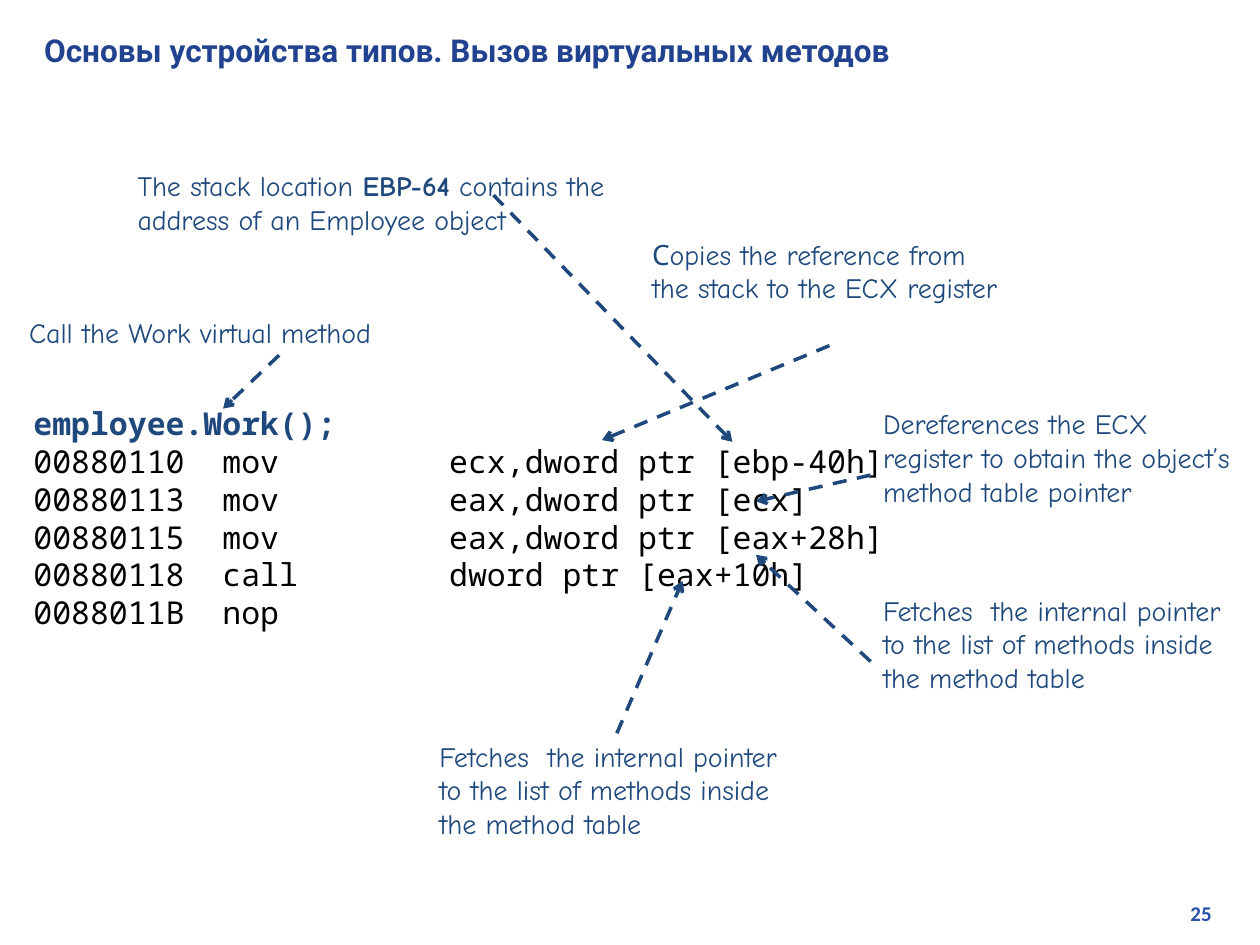
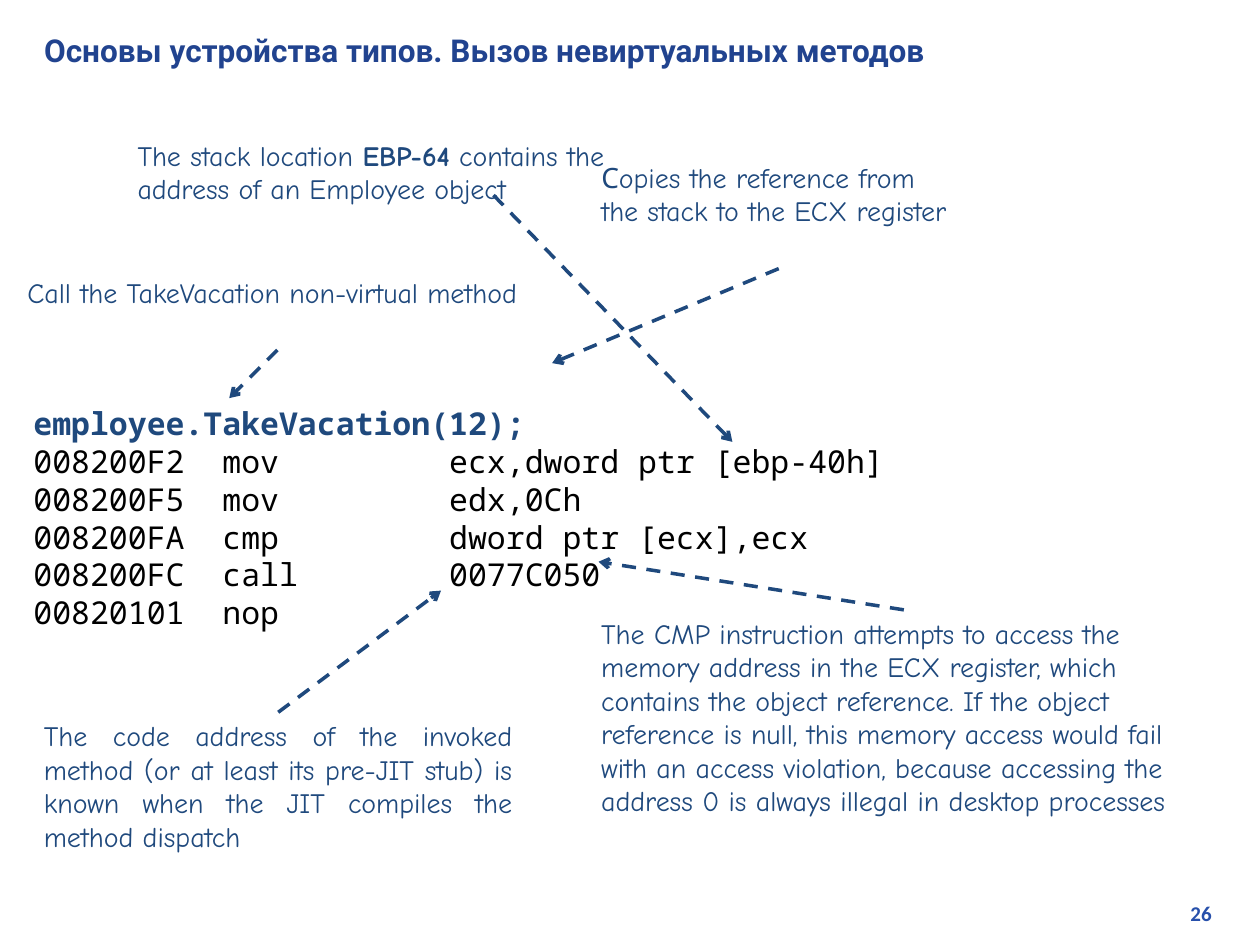
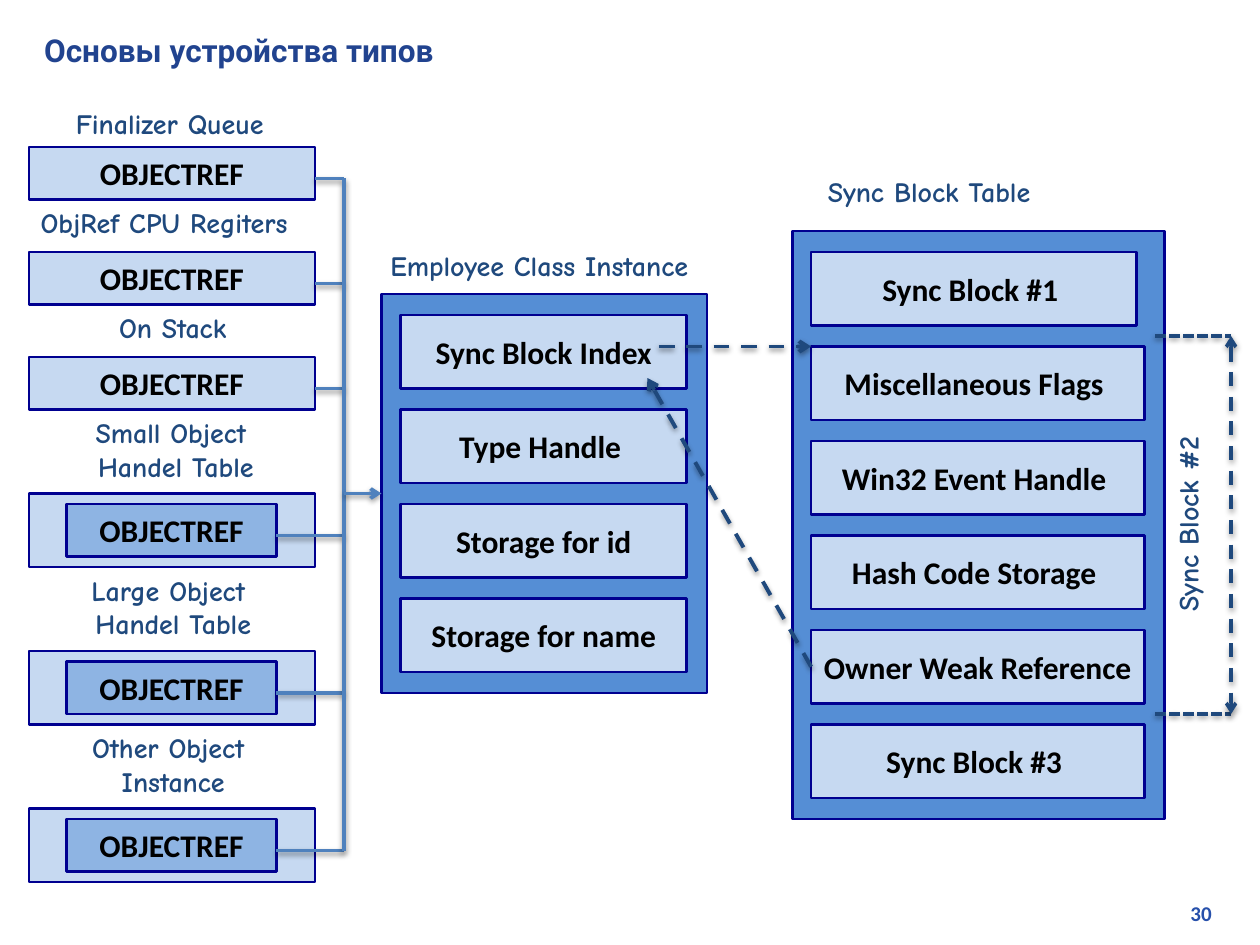
from dataclasses import dataclass
from typing import Optional

from lxml.etree import SubElement
from pptx import Presentation
from pptx.dml.color import RGBColor
from pptx.enum.dml import MSO_LINE
from pptx.enum.shapes import MSO_CONNECTOR, MSO_SHAPE
from pptx.enum.text import MSO_ANCHOR, MSO_AUTO_SIZE, PP_ALIGN
from pptx.oxml.ns import qn
from pptx.util import Pt

COLORS = {
    "title": "21438F", "number": "2750AB", "note": "1F497D", "code": "000000",
    "frame": "558ED5", "cell": "C6D9F1", "inner": "8EB4E3",
    "border": "000090", "bus": "4F81BD", "shadow": "000000",
}
NOTE_FONT, CODE_FONT, BOX_FONT, TITLE_FONT = "Comic Neue", "Noto Sans Mono", "Calibri", "Roboto"
CODE_TABS = (108, 237.6)
TOP, LEFT, BOTTOM = 0, 1, 2
CELL_HEIGHT, CELL_STEP = 42, 54
REFERENCE_HEIGHT = 30
BUS_X = 196.5


@dataclass(frozen=True)
class Box:
    left: float
    top: float
    width: float
    height: float

    def lengths(self) -> tuple:
        return Pt(self.left), Pt(self.top), Pt(self.width), Pt(self.height)


@dataclass(frozen=True)
class Style:
    font: str
    size: float
    color: str
    bold: bool = False


@dataclass(frozen=True)
class Note:
    """A remark whose arrow leaves from a side of its box, or from a free start point."""
    box: Box
    text: str
    tip: tuple
    side: int = BOTTOM
    start: Optional[tuple] = None
    bold_word: str = ""
    align: PP_ALIGN = PP_ALIGN.LEFT


@dataclass(frozen=True)
class Stroke:
    color: str = "note"
    width: float = 2
    dash: Optional[MSO_LINE] = MSO_LINE.DASH
    head: bool = False
    tail: bool = True
    shadow: bool = False


@dataclass(frozen=True)
class Reference:
    label: tuple
    label_box: Box
    top: float
    nested: bool


TITLE_STYLE = Style(TITLE_FONT, 18, "title", True)
NUMBER_STYLE = Style(BOX_FONT, 12, "number", True)
NOTE_STYLE = Style(NOTE_FONT, 16, "note")
LABEL_STYLE = Style(NOTE_FONT, 16, "note", True)
CALL_STYLE = Style(CODE_FONT, 18, "note", True)
CODE_STYLE = Style(CODE_FONT, 18, "code")
BOX_STYLE = Style(BOX_FONT, 18, "code", True)

NOTE_ARROW = Stroke()
BUS_LINE = Stroke("bus", dash=None, tail=False, shadow=True)
BUS_ARROW = Stroke("bus", dash=None, shadow=True)
LINK_ARROW = Stroke(width=2.25, shadow=True)
RANGE_END = Stroke(dash=MSO_LINE.SQUARE_DOT, tail=False, shadow=True)
RANGE_ARROW = Stroke(head=True, shadow=True)

COPIES_TEXT = "Сopies the reference from the stack to the ECX register"
FETCHES_TEXT = "Fetches  the internal pointer to the list of methods inside the method table"


def stack_note(top: float) -> Note:
    return Note(Box(71.5, top, 300, 65.5), "The stack location EBP-64 contains the address of an Employee object",
                (418.5, 252.5), start=(282, 111.5), bold_word="EBP-64")


VIRTUAL_CODE = (
    "employee.Work();",
    ("00880110", "mov", "ecx,dword ptr [ebp-40h]"),
    ("00880113", "mov", "eax,dword ptr [ecx]"),
    ("00880115", "mov", "eax,dword ptr [eax+28h]"),
    ("00880118", "call", "dword ptr [eax+10h]"),
    ("0088011B", "nop"),
)
VIRTUAL_NOTES = (
    Note(Box(365.5, 132, 217, 65.5), COPIES_TEXT, (344, 251.5)),
    Note(Box(497.5, 229, 217, 85), "Dereferences the ECX register to obtain the object’s method table pointer",
         (432, 286.5), LEFT),
    Note(Box(497.5, 335.5, 217, 85), FETCHES_TEXT, (432, 317), LEFT),
    Note(Box(244, 419, 217, 85), FETCHES_TEXT, (390, 332), TOP),
    stack_note(93),
    Note(Box(9.5, 176.5, 300, 26.5), "Call the Work virtual method", (127.5, 233.5)),
)
DIRECT_CODE = (
    "employee.TakeVacation(12);",
    ("008200F2", "mov", "ecx,dword ptr [ebp-40h]"),
    ("008200F5", "mov", "edx,0Ch"),
    ("008200FA", "cmp", "dword ptr [ecx],ecx"),
    ("008200FC", "call", "0077C050"),
    ("00820101", "nop"),
)
DIRECT_NOTES = (
    Note(Box(336.5, 88, 217, 65.5), COPIES_TEXT, (315.5, 207.5)),
    Note(Box(18, 407, 282, 104.5),
         "The code address of the invoked method (or at least its pre-JIT stub) is known "
         "when the JIT compiles the method dispatch", (252, 337.5), TOP, align=PP_ALIGN.JUSTIFY),
    stack_note(75.5),
    Note(Box(8.5, 154, 300, 46), "Call the TakeVacation non-virtual method", (131, 227.5)),
    Note(Box(336.5, 348.5, 360, 162.5),
         "The CMP instruction attempts to access the memory address in the ECX register, which "
         "contains the object reference. If the object reference is null, this memory access would "
         "fail with an access violation, because accessing the address 0 is always illegal in "
         "desktop processes", (342, 321), TOP),
)
REFERENCES = (
    Reference(("Finalizer Queue",), Box(12, 57.5, 170, 26.5), 84, False),
    Reference(("ObjRef CPU Regiters",), Box(-5.5, 114, 198.5, 26.5), 144, False),
    Reference(("On Stack",), Box(48, 174, 101.5, 26.5), 204, False),
    Reference(("Small Object ", "Handel Table"), Box(27.5, 234, 146, 46), 282, True),
    Reference(("Large Object ", "Handel Table"), Box(26, 324, 146, 46), 372, True),
    Reference(("Other Object ", "Instance"), Box(32.5, 414, 133, 46), 462, True),
)
INSTANCE_FIELDS = ("Sync Block Index", "Type Handle ", "Storage for id", "Storage for name")
SYNC_FIELDS = ("Sync Block #1 ", "Miscellaneous Flags ", "Win32 Event Handle ",
               "Hash Code Storage ", "Owner Weak Reference", "Sync Block #3 ")


def rgb(name: str) -> RGBColor:
    return RGBColor.from_string(COLORS[name])


def add_run(paragraph, text: str, style: Style, bold: Optional[bool] = None) -> None:
    run = paragraph.add_run()
    run.text = text
    run.font.name = style.font
    run.font.size = Pt(style.size)
    run.font.bold = style.bold if bold is None else bold
    run.font.color.rgb = rgb(style.color)


def add_text_box(slide, box: Box):
    shape = slide.shapes.add_textbox(*box.lengths())
    shape.text_frame.word_wrap = True
    return shape


def add_label(slide, box: Box, lines: tuple, style: Style, align: PP_ALIGN = PP_ALIGN.CENTER):
    shape = add_text_box(slide, box)
    frame = shape.text_frame
    for index, line in enumerate(lines):
        paragraph = frame.add_paragraph() if index else frame.paragraphs[0]
        paragraph.alignment = align
        add_run(paragraph, line, style)
    return shape


def add_box(slide, box: Box, fill: str, text: str = ""):
    shape = slide.shapes.add_shape(MSO_SHAPE.RECTANGLE, *box.lengths())
    shape.shadow.inherit = False
    shape.fill.solid()
    shape.fill.fore_color.rgb = rgb(fill)
    shape.line.color.rgb = rgb("border")
    shape.line.width = Pt(1.5)
    if text:
        frame = shape.text_frame
        frame.word_wrap = True
        frame.vertical_anchor = MSO_ANCHOR.MIDDLE
        frame.paragraphs[0].alignment = PP_ALIGN.CENTER
        add_run(frame.paragraphs[0], text, BOX_STYLE)
    return shape


def add_line(slide, start: tuple, end: tuple, stroke: Stroke):
    connector = slide.shapes.add_connector(
        MSO_CONNECTOR.STRAIGHT, *(Pt(value) for value in (*start, *end)))
    connector.line.color.rgb = rgb(stroke.color)
    connector.line.width = Pt(stroke.width)
    if stroke.dash is not None:
        connector.line.dash_style = stroke.dash
    properties = connector._element.spPr
    outline = properties.find(qn("a:ln"))
    for tag, shown in (("a:headEnd", stroke.head), ("a:tailEnd", stroke.tail)):
        if shown:
            SubElement(outline, qn(tag), type="arrow")
    effects = SubElement(properties, qn("a:effectLst"))
    if stroke.shadow:
        shadow = SubElement(effects, qn("a:outerShdw"), blurRad=str(Pt(3.1)), dist=str(Pt(1.6)),
                            dir="5400000", rotWithShape="0")
        color = SubElement(shadow, qn("a:srgbClr"), val=COLORS["shadow"])
        SubElement(color, qn("a:alpha"), val="38000")
    return connector


def add_slide(presentation, title: str, number: int):
    """Add a slide with the shared title style and page number."""
    slide = presentation.slides.add_slide(presentation.slide_layouts[5])
    shape = slide.shapes.title
    shape.left, shape.top, shape.width, shape.height = Box(18, 14.5, 680.5, 28).lengths()
    frame = shape.text_frame
    frame.auto_size = MSO_AUTO_SIZE.NONE
    frame.vertical_anchor = MSO_ANCHOR.MIDDLE
    frame.paragraphs[0].alignment = PP_ALIGN.LEFT
    add_run(frame.paragraphs[0], title, TITLE_STYLE)
    add_label(slide, Box(547, 511, 152.5, 21.5), (str(number),), NUMBER_STYLE, PP_ALIGN.RIGHT)
    return slide


def add_code(slide, code: tuple) -> None:
    """Add the call in bold, then its instructions in tabbed columns."""
    call, *instructions = code
    shape = add_label(slide, Box(12, 227.5, 594, 138), (call,), CALL_STYLE, PP_ALIGN.LEFT)
    for columns in instructions:
        paragraph = shape.text_frame.add_paragraph()
        tabs = SubElement(paragraph._p.get_or_add_pPr(), qn("a:tabLst"))
        for position in CODE_TABS:
            SubElement(tabs, qn("a:tab"), pos=str(Pt(position)), algn="l")
        add_run(paragraph, "\t".join(columns), CODE_STYLE)


def add_note(slide, note: Note) -> None:
    shape = add_text_box(slide, note.box)
    paragraph = shape.text_frame.paragraphs[0]
    paragraph.alignment = note.align
    if note.bold_word:
        before, word, after = note.text.partition(note.bold_word)
        add_run(paragraph, before, NOTE_STYLE)
        add_run(paragraph, word, NOTE_STYLE, bold=True)
        add_run(paragraph, after, NOTE_STYLE)
    else:
        add_run(paragraph, note.text, NOTE_STYLE)
    arrow = add_line(slide, note.start or (note.box.left, note.box.top), note.tip, NOTE_ARROW)
    if note.start is None:
        arrow.begin_connect(shape, note.side)


def add_call_slide(presentation, title: str, number: int, code: tuple, notes: tuple) -> None:
    slide = add_slide(presentation, title, number)
    add_code(slide, code)
    for note in notes:
        add_note(slide, note)


def add_cells(slide, left: float, top: float, widths: tuple, fields: tuple) -> list:
    return [
        add_box(slide, Box(left, top + row * CELL_STEP, width, CELL_HEIGHT), "cell", field)
        for row, (width, field) in enumerate(zip(widths, fields))
    ]


def add_reference(slide, reference: Reference) -> float:
    """Draw one reference with its branch and return the height of the branch."""
    add_label(slide, reference.label_box, reference.label, LABEL_STYLE)
    box = Box(16.5, reference.top, 163.5, REFERENCE_HEIGHT)
    fill = "cell"
    if reference.nested:
        add_box(slide, Box(box.left, box.top, box.width, CELL_HEIGHT), "cell")
        box = Box(38, reference.top + 6, 120, REFERENCE_HEIGHT)
        fill = "inner"
    add_box(slide, box, fill, "OBJECTREF")
    branch_y = box.top + 18
    add_line(slide, (box.left + box.width, branch_y), (BUS_X, branch_y), BUS_LINE)
    return branch_y


def add_layout_slide(presentation) -> None:
    slide = add_slide(presentation, "Основы устройства типов", 30)

    instance = add_box(slide, Box(218, 168, 186, 228), "frame")
    add_label(slide, Box(191, 138.5, 240, 26.5), ("Employee Class Instance ",), LABEL_STYLE)
    add_cells(slide, 229, 180, (163.5,) * 4, INSTANCE_FIELDS)

    branches = [add_reference(slide, reference) for reference in REFERENCES]
    add_line(slide, (BUS_X, branches[0]), (BUS_X, branches[-1]), BUS_LINE)
    bus_arrow = add_line(slide, (BUS_X, 282), (218, 282), BUS_ARROW)
    bus_arrow.end_connect(instance, LEFT)

    add_box(slide, Box(453, 132, 212.5, 336), "frame")
    add_label(slide, Box(466, 96, 172, 26.5), ("Sync Block Table",), LABEL_STYLE, PP_ALIGN.LEFT)
    sync_cells = add_cells(slide, 463.5, 144, (186,) + (190.5,) * 5, SYNC_FIELDS)

    add_line(slide, (376.5, 198), (463.5, 198), LINK_ARROW)
    owner_arrow = add_line(slide, (463.5, 381), (370, 216), LINK_ARROW)
    owner_arrow.begin_connect(sync_cells[4], LEFT)

    range_x, range_top, range_bottom = 703.5, 192, 408
    for y in (range_top, range_bottom):
        add_line(slide, (660, y), (range_x, y), RANGE_END)
    range_label = add_label(slide, Box(665.5, 228, 33.5, 137.5), ("Sync Block #2 ",), LABEL_STYLE)
    range_label.text_frame._txBody.bodyPr.set("vert", "vert270")
    add_line(slide, (range_x, range_top), (range_x, range_bottom), RANGE_ARROW)


def main() -> None:
    presentation = Presentation()
    presentation.slide_width, presentation.slide_height = Pt(720), Pt(540)
    add_call_slide(presentation, "Основы устройства типов. Вызов виртуальных методов",
                   25, VIRTUAL_CODE, VIRTUAL_NOTES)
    add_call_slide(presentation, "Основы устройства типов. Вызов невиртуальных методов",
                   26, DIRECT_CODE, DIRECT_NOTES)
    add_layout_slide(presentation)
    presentation.save("out.pptx")


if __name__ == "__main__":
    main()
